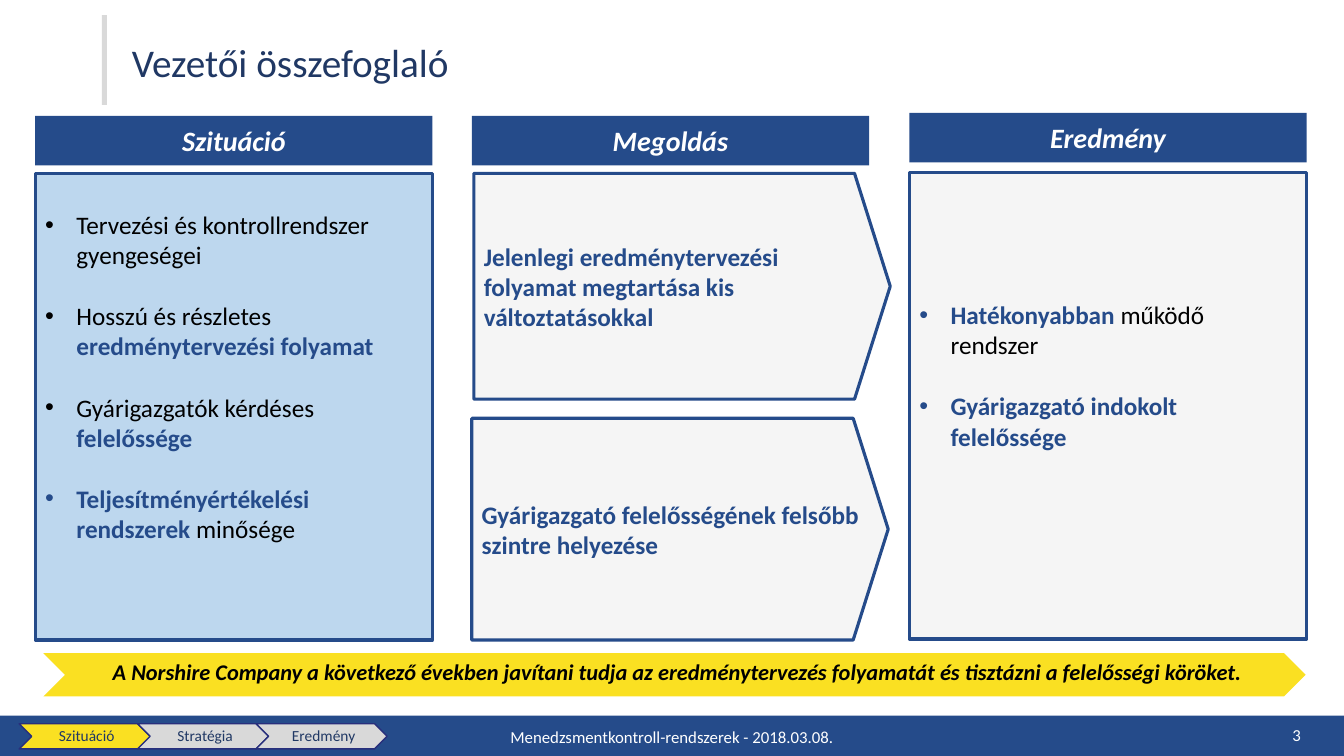
from typing import NamedTuple

from lxml import etree
from pptx import Presentation
from pptx.dml.color import RGBColor
from pptx.enum.shapes import MSO_SHAPE
from pptx.enum.text import MSO_ANCHOR, PP_ALIGN
from pptx.oxml.ns import qn
from pptx.util import Inches, Pt

RECTANGLE, CHEVRON, PENTAGON = MSO_SHAPE.RECTANGLE, MSO_SHAPE.CHEVRON, MSO_SHAPE.PENTAGON
LEFT, CENTER, RIGHT = PP_ALIGN.LEFT, PP_ALIGN.CENTER, PP_ALIGN.RIGHT
TOP, MIDDLE = MSO_ANCHOR.TOP, MSO_ANCHOR.MIDDLE

BLUE = RGBColor(0x25, 0x4B, 0x8A)
NAVY = RGBColor(0x20, 0x38, 0x64)
INDIGO = RGBColor(0x28, 0x2F, 0x7C)
SKY = RGBColor(0xBD, 0xD7, 0xEE)
YELLOW = RGBColor(0xFA, 0xE0, 0x22)
GRAY = RGBColor(0xD9, 0xD9, 0xD9)
PALE = RGBColor(0xF5, 0xF5, 0xF5)
WHITE = RGBColor(0xFF, 0xFF, 0xFF)
BLACK = RGBColor(0, 0, 0)

FONT = "Calibri"
DEFAULT_INSETS = (0.1, 0.05, 0.1, 0.05)
NO_INSETS = (0, 0, 0, 0)
STEP_INSETS = (0.05, 0.02, 0.02, 0.02)
LIST_INSETS = (0.1, 0.05, 0.1, 0.65)
LIST_INDENT = 0.31
COLUMN_WIDTH = 3.94


class Area(NamedTuple):
    left: float
    top: float
    width: float
    height: float


class Span(NamedTuple):
    text: str
    color: RGBColor = BLACK
    bold: bool = False
    italic: bool = False


class Style(NamedTuple):
    size: float
    align: PP_ALIGN = LEFT
    anchor: MSO_ANCHOR = MIDDLE
    insets: tuple = DEFAULT_INSETS
    spacing: float = 1.0
    bullets: bool = False


class Heading(NamedTuple):
    text: str
    left: float
    top: float


class ListPanel(NamedTuple):
    area: Area
    fill: RGBColor
    items: list[list[Span]]


class Solution(NamedTuple):
    area: Area
    text: str


class Step(NamedTuple):
    text: str
    fill: RGBColor


def accent(text: str) -> Span:
    return Span(text, BLUE, bold=True)


def emu(area: Area) -> list:
    return [Inches(value) for value in area]


def add_bullet(para) -> None:
    properties = para._p.get_or_add_pPr()
    properties.set("marL", str(Inches(LIST_INDENT)))
    properties.set("indent", str(-Inches(LIST_INDENT)))
    etree.SubElement(properties, qn("a:buFont")).set("typeface", "Arial")
    etree.SubElement(properties, qn("a:buChar")).set("char", "•")


def write(box, paragraphs: list[list[Span]], style: Style) -> None:
    frame = box.text_frame
    frame.word_wrap = True
    frame.vertical_anchor = style.anchor
    (frame.margin_left, frame.margin_top,
     frame.margin_right, frame.margin_bottom) = [Inches(value) for value in style.insets]
    for index, spans in enumerate(paragraphs):
        para = frame.add_paragraph() if index else frame.paragraphs[0]
        para.alignment = style.align
        para.line_spacing = style.spacing
        if index:
            para.space_before = Pt(22)
        if style.bullets:
            add_bullet(para)
        for span in spans:
            run = para.add_run()
            run.text = span.text
            font = run.font
            font.name, font.size = FONT, Pt(style.size)
            font.bold, font.italic = span.bold, span.italic
            font.color.rgb = span.color


def add_box(page, kind: MSO_SHAPE, area: Area, fill: RGBColor,
            line: RGBColor | None = None, line_width: float = 2.25):
    box = page.shapes.add_shape(kind, *emu(area))
    box.shadow.inherit = False
    box.fill.solid()
    box.fill.fore_color.rgb = fill
    if line is None:
        box.line.fill.background()
    else:
        box.line.color.rgb = line
        box.line.width = Pt(line_width)
    return box


def add_text(page, area: Area, span: Span, style: Style) -> None:
    write(page.shapes.add_textbox(*emu(area)), [[span]], style)


HEADINGS = [
    Heading("Szituáció", 0.35, 1.15),
    Heading("Megoldás", 4.68, 1.15),
    Heading("Eredmény", 9.02, 1.12),
]
LIST_PANELS = [
    ListPanel(Area(0.35, 1.72, COLUMN_WIDTH, 4.63), SKY, [
        [Span("Tervezési és kontrollrendszer gyengeségei")],
        [Span("Hosszú és részletes "), accent("eredménytervezési folyamat")],
        [Span("Gyárigazgatók kérdéses "), accent("felelőssége")],
        [accent("Teljesítményértékelési rendszerek "), Span("minősége")],
    ]),
    ListPanel(Area(9.02, 1.71, COLUMN_WIDTH, 4.63), PALE, [
        [accent("Hatékonyabban"), Span(" működő rendszer")],
        [accent("Gyárigazgató indokolt felelőssége")],
    ]),
]
SOLUTIONS = [
    Solution(Area(4.7, 1.72, 4.13, 2.24),
             "Jelenlegi eredménytervezési folyamat megtartása kis változtatásokkal"),
    Solution(Area(4.68, 4.15, 4.13, 2.2),
             "Gyárigazgató felelősségének felsőbb szintre helyezése"),
]
STEPS = [Step("Szituáció", YELLOW), Step("Stratégia", GRAY), Step("Eredmény", GRAY)]
CONCLUSION = ("A Norshire Company a következő években javítani tudja az eredménytervezés "
              "folyamatát és tisztázni a felelősségi köröket.")

deck = Presentation()
deck.slide_width, deck.slide_height = Inches(13.33), Inches(7.5)
page = deck.slides.add_slide(deck.slide_layouts[6])

# Footer band and title
add_box(page, RECTANGLE, Area(0, 7.1, 13.33, 0.41), BLUE)
add_box(page, RECTANGLE, Area(1.01, 0.15, 0.05, 0.89), GRAY)
add_text(page, Area(1.21, 0.2, 11.67, 0.89), Span("Vezetői összefoglaló", NAVY),
         Style(28, spacing=0.9))

# Progress steps
for index, step in enumerate(STEPS):
    left = 0.19 + index * 1.175
    add_box(page, CHEVRON, Area(left, 7.18, 1.3, 0.25), step.fill, INDIGO, 1)
    add_text(page, Area(left + 0.13, 7.18, 1.05, 0.25), Span(step.text, NAVY),
             Style(11, CENTER, insets=STEP_INSETS, spacing=0.9))

# Column headings
for heading in HEADINGS:
    box = add_box(page, RECTANGLE, Area(heading.left, heading.top, COLUMN_WIDTH, 0.49), BLUE)
    write(box, [[Span(heading.text, WHITE, bold=True, italic=True)]],
          Style(20, CENTER, insets=NO_INSETS))

# Situation and result lists
for panel in LIST_PANELS:
    box = add_box(page, RECTANGLE, panel.area, panel.fill, BLUE)
    write(box, panel.items, Style(18, insets=LIST_INSETS, bullets=True))

# Solution arrows
for solution in SOLUTIONS:
    box = add_box(page, PENTAGON, solution.area, PALE, BLUE)
    box.adjustments[0] = 0.158
    write(box, [[accent(solution.text)]], Style(18))

# Conclusion banner
add_box(page, CHEVRON, Area(0.43, 6.48, 12.52, 0.43), YELLOW)
add_text(page, Area(0.51, 6.48, 12.42, 0.37), Span(CONCLUSION, bold=True, italic=True),
         Style(16, CENTER, TOP))

# Footer text and page number
add_text(page, Area(3.84, 7.11, 5.65, 0.4),
         Span("Menedzsmentkontroll-rendszerek - 2018.03.08.", WHITE), Style(12, CENTER))
add_text(page, Area(10, 7.09, 3, 0.4), Span("3", WHITE), Style(12, RIGHT))

deck.save("out.pptx")
